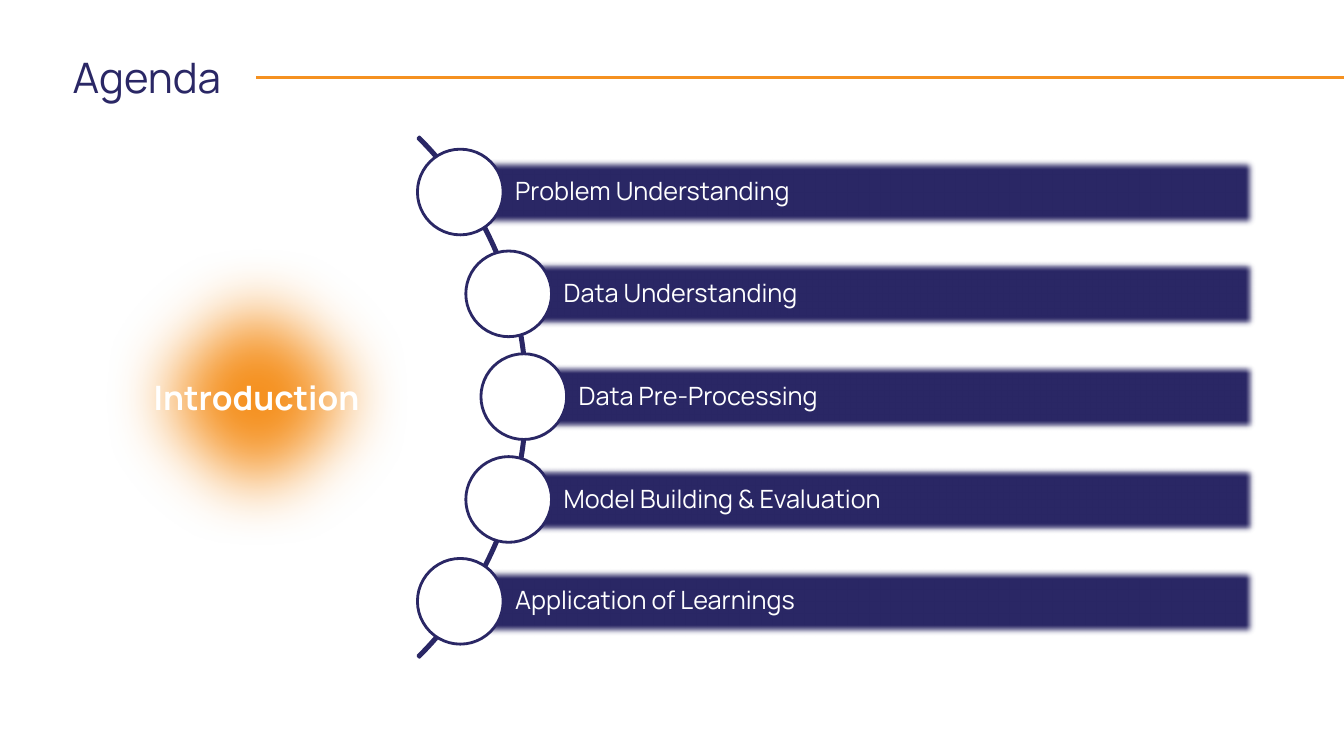
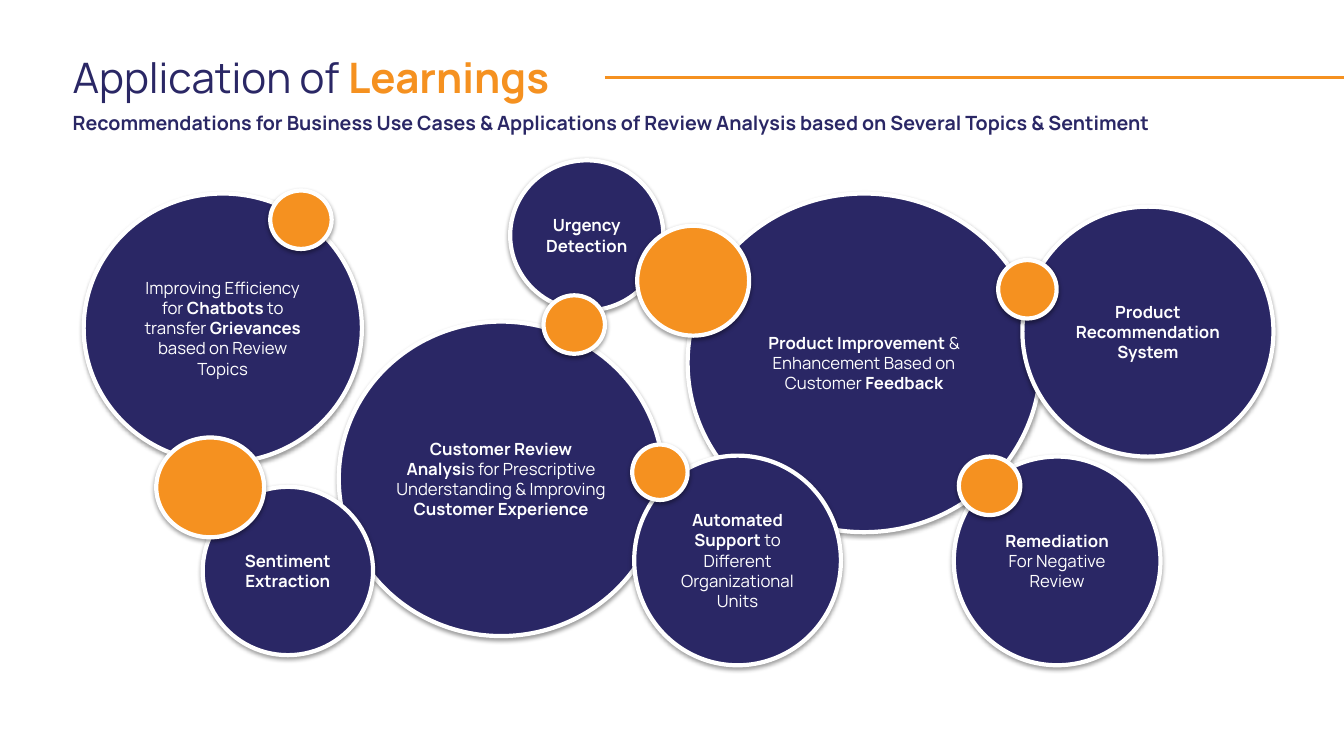
from math import sqrt

from lxml.etree import SubElement
from pptx import Presentation
from pptx.dml.color import RGBColor
from pptx.enum.shapes import MSO_CONNECTOR as Connector, MSO_SHAPE as Shape
from pptx.enum.text import MSO_ANCHOR as Anchor, MSO_AUTO_SIZE as AutoSize, PP_ALIGN as Align
from pptx.oxml.ns import qn
from pptx.util import Emu, Pt

FONT = "Manrope"
NAVY, ORANGE, WHITE = "2A2765", "F59120", "FFFFFF"
SLIDE_WIDTH, SLIDE_HEIGHT = 1333, 750

AGENDA = [
    "Problem Understanding",
    "Data Understanding",
    "Data Pre-Processing",
    "Model Building & Evaluation",
    "Application of Learnings",
]
BUBBLES = [
    (83, 192, 276, 267, ["Improving Efficiency for *Chatbots* to transfer *Grievances* based on Review Topics"]),
    (336, 319, 322, 312, ["*Customer Review Analysi*s for Prescriptive Understanding & Improving *Customer Experience*"]),
    (682, 192, 350, 336, ["*Product Improvement *& Enhancement Based on Customer *Feedback*"]),
    (946, 453, 205, 207, ["*Remediation*", "For Negative Review"]),
    (201, 483, 169, 167, ["*Sentiment*", "*Extraction*"]),
    (155, 434, 107, 99, []),
    (506, 159, 152, 149, ["*Urgency*", "*Detection*"]),
    (629, 452, 205, 208, ["*Automated*", "*Support *to Different Organizational Units"]),
    (951, 453, 61, 58, []),
    (268, 189, 61, 58, []),
    (539, 293, 61, 58, []),
    (632, 224, 111, 109, []),
    (627, 441, 55, 55, []),
    (1014, 205, 249, 248, ["*Product Recommendation*", "*System*"]),
    (990, 258, 58, 58, []),
]


def px(length):
    """Turn px, at 100 to the inch, into EMU."""
    return Emu(length * 9144)


def color(value):
    """Turn a hex string into a colour."""
    return RGBColor.from_string(value)


def write(para, text, size, ink, bold_ink=None):
    """Add the text run by run; asterisks enclose bold parts."""
    for index, part in enumerate(text.split("*")):
        if part:
            span = para.add_run()
            span.text = part
            font = span.font
            font.name, font.size, font.bold = FONT, Pt(size), index % 2 == 1
            font.color.rgb = color(bold_ink or ink if font.bold else ink)


def write_centered(shape, lines, size):
    """Write white centred paragraphs into a shape."""
    frame = shape.text_frame
    frame.word_wrap = True
    frame.vertical_anchor = Anchor.MIDDLE
    for index, line in enumerate(lines):
        para = frame.add_paragraph() if index else frame.paragraphs[0]
        para.alignment = Align.CENTER
        write(para, line, size, WHITE)


def add_shape(page, kind, frame, fill, line, width=2):
    """Add a preset shape without a shadow; fill may be None."""
    shape = page.shapes.add_shape(kind, *map(px, frame))
    if fill:
        shape.fill.solid()
        shape.fill.fore_color.rgb = color(fill)
    else:
        shape.fill.background()
    shape.line.color.rgb = color(line)
    shape.line.width = Pt(width)
    shape.shadow.inherit = False
    return shape


def add_effect(shape, name, **values):
    """Add one effect to a shape's effect list."""
    effects = shape.element.spPr.find(qn("a:effectLst"))
    return SubElement(effects, qn(f"a:{name}"), {key: str(value) for key, value in values.items()})


def place_text(holder, frame, text, size, bold_ink=NAVY):
    """Move a placeholder and fill it with one plain left-aligned line."""
    holder.left, holder.top, holder.width, holder.height = map(px, frame)
    box = holder.text_frame
    box.word_wrap = True
    box.auto_size = AutoSize.NONE
    box.vertical_anchor = Anchor.TOP
    para = box.paragraphs[0]
    para.alignment = Align.LEFT
    para.space_before = Pt(0)
    properties = para._p.get_or_add_pPr()
    properties.set("marL", "0")
    properties.set("indent", "0")
    SubElement(properties, qn("a:buNone"))
    write(para, text, size, NAVY, bold_ink)


def add_page(deck, layout, title, rule_start):
    """Add a slide with its title and the orange rule beside it."""
    page = deck.slides.add_slide(deck.slide_layouts.get_by_name(layout))
    place_text(page.shapes.title, (62, 46, 786, 61), title, 30, ORANGE)
    rule = page.shapes.add_connector(Connector.STRAIGHT, px(rule_start), px(77), px(SLIDE_WIDTH), px(77))
    rule.line.color.rgb = color(ORANGE)
    rule.line.width = Pt(2.25)
    SubElement(rule.element.spPr, qn("a:effectLst"))
    return page


def add_agenda_item(page, left, middle, text):
    """Add a soft-edged bar with its text and the circle at its left end."""
    bar = add_shape(page, Shape.RECTANGLE, (left, middle - 34, 1246 - left, 68), NAVY, WHITE)
    add_effect(bar, "softEdge", rad=63500)
    frame = bar.text_frame
    frame.margin_left, frame.margin_right = px(54), px(5)
    frame.vertical_anchor = Anchor.MIDDLE
    para = frame.paragraphs[0]
    para.alignment = Align.LEFT
    para.line_spacing = 0.9
    write(para, text, 18, WHITE)
    add_shape(page, Shape.OVAL, (left - 43, middle - 43, 85, 85), WHITE, NAVY)


def add_bubble(page, left, top, width, height, lines):
    """Add a shadowed circle, navy with text or orange without."""
    fill = NAVY if lines else ORANGE
    bubble = add_shape(page, Shape.OVAL, (left, top, width, height), fill, WHITE, 3)
    shadow = add_effect(bubble, "outerShdw", blurRad=40000, dist=20000, dir=5400000, rotWithShape=0)
    tint = SubElement(shadow, qn("a:srgbClr"), val="000000")
    SubElement(tint, qn("a:alpha"), val="38000")
    write_centered(bubble, lines, 12)


def build_agenda(deck):
    """Build the agenda, its items strung along an arc."""
    page = add_page(deck, "Title Only", "Agenda", 254)
    arc = add_shape(page, Shape.BLOCK_ARC, (-207, 29, 730, 730), None, NAVY)
    for index, value in enumerate((189, 27, 0.003)):
        arc.adjustments[index] = value
    center_x, center_y, radius = 158, 394, 362
    for index, text in enumerate(AGENDA):
        offset = round((index - 2) * 101.5)
        left = int(center_x + sqrt(radius ** 2 - offset ** 2))
        add_agenda_item(page, left, center_y + offset, text)
    glow = add_shape(page, Shape.OVAL, (82, 225, 345, 337), ORANGE, ORANGE)
    add_effect(glow, "softEdge", rad=635000)
    write_centered(glow, ["*Introduction*"], 24)


def build_learnings(deck):
    """Build the bubbles of recommended applications."""
    page = add_page(deck, "Title and Content", "Application of *Learnings*", 600)
    place_text(
        page.placeholders[1],
        (62, 105, 1230, 34),
        "*Recommendations for Business Use Cases & Applications of Review Analysis based on Several Topics & Sentiment*",
        14,
    )
    for bubble in BUBBLES:
        add_bubble(page, *bubble)


def main():
    """Build and save the deck."""
    deck = Presentation()
    deck.slide_width, deck.slide_height = px(SLIDE_WIDTH), px(SLIDE_HEIGHT)
    build_agenda(deck)
    build_learnings(deck)
    deck.save("out.pptx")


if __name__ == "__main__":
    main()
